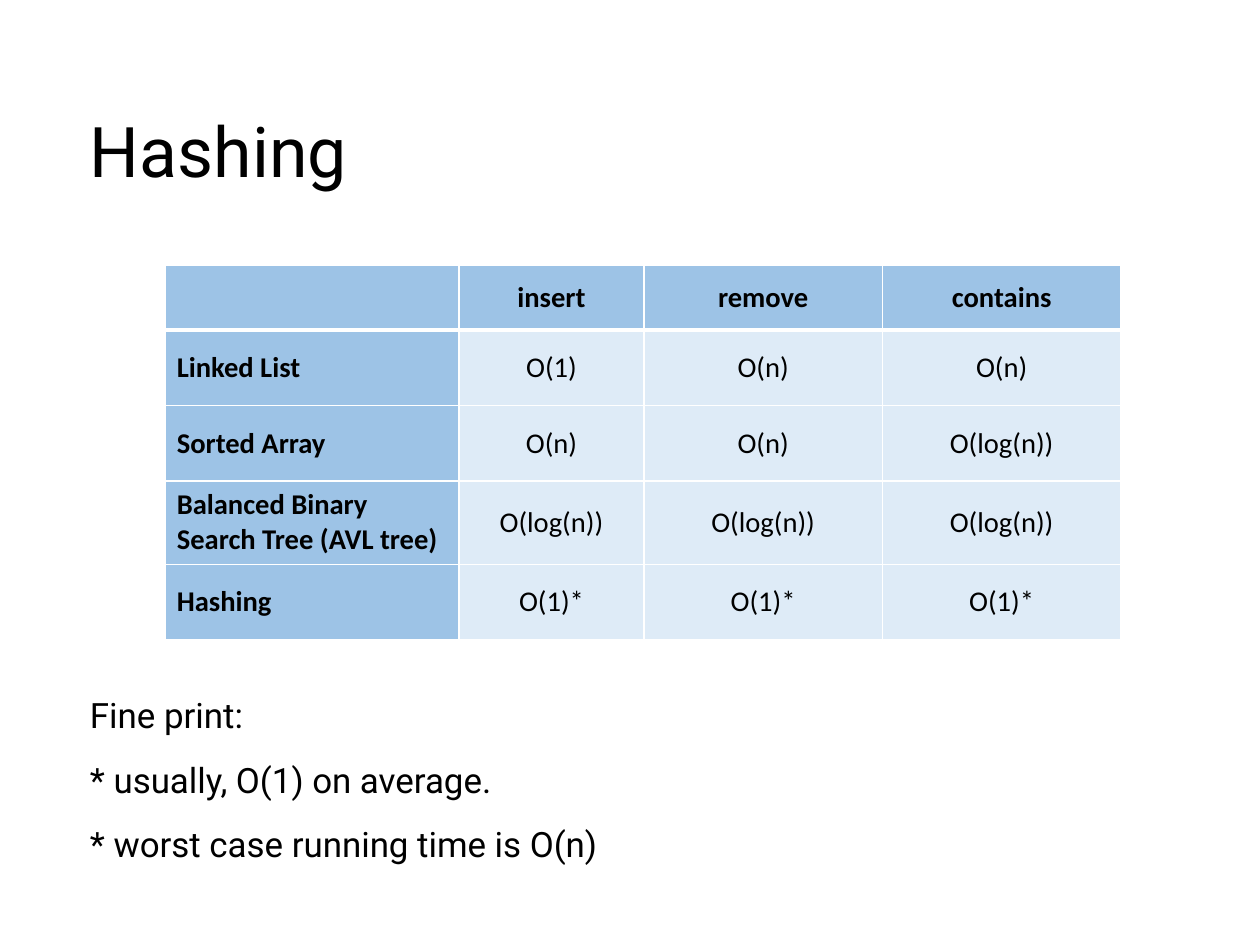
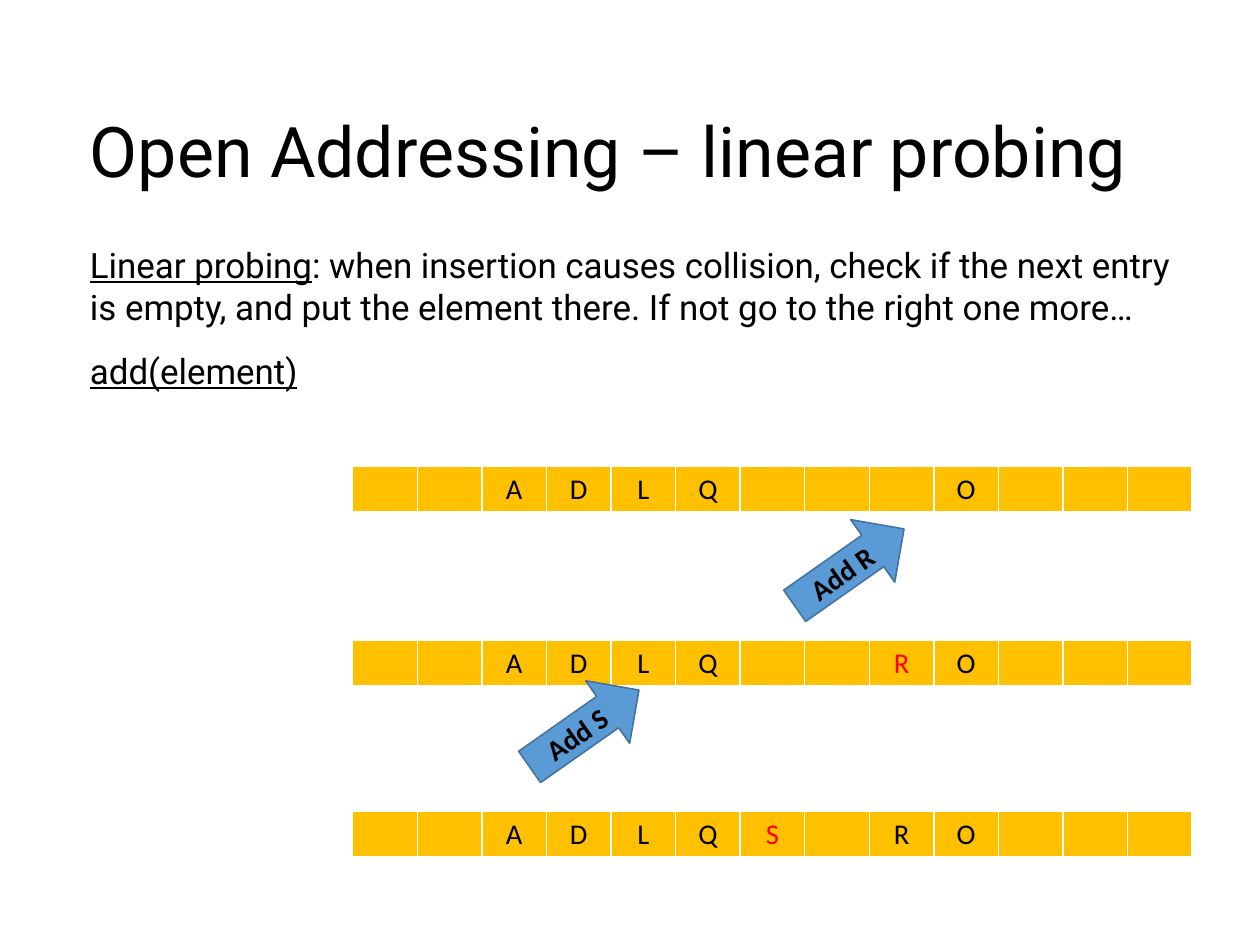
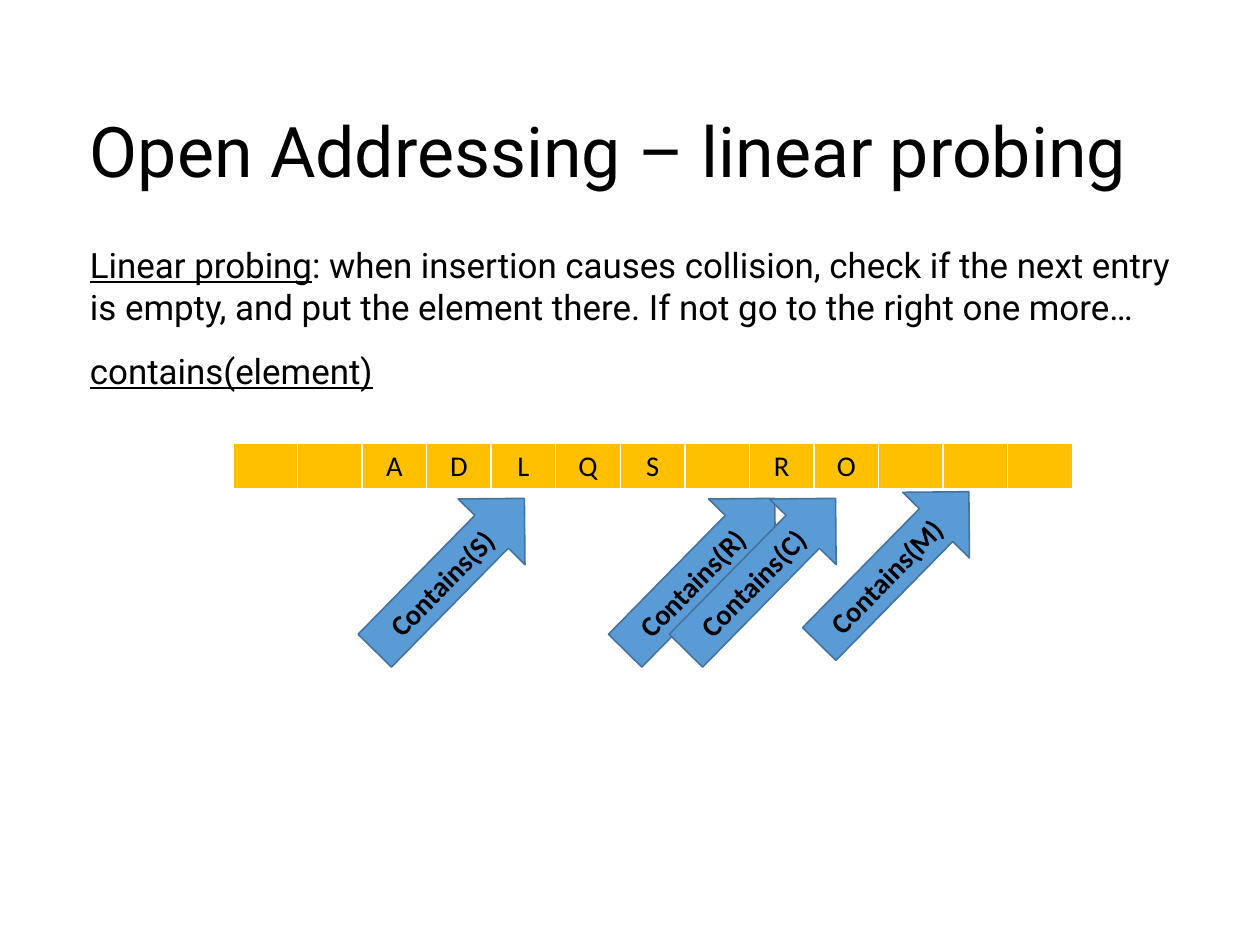
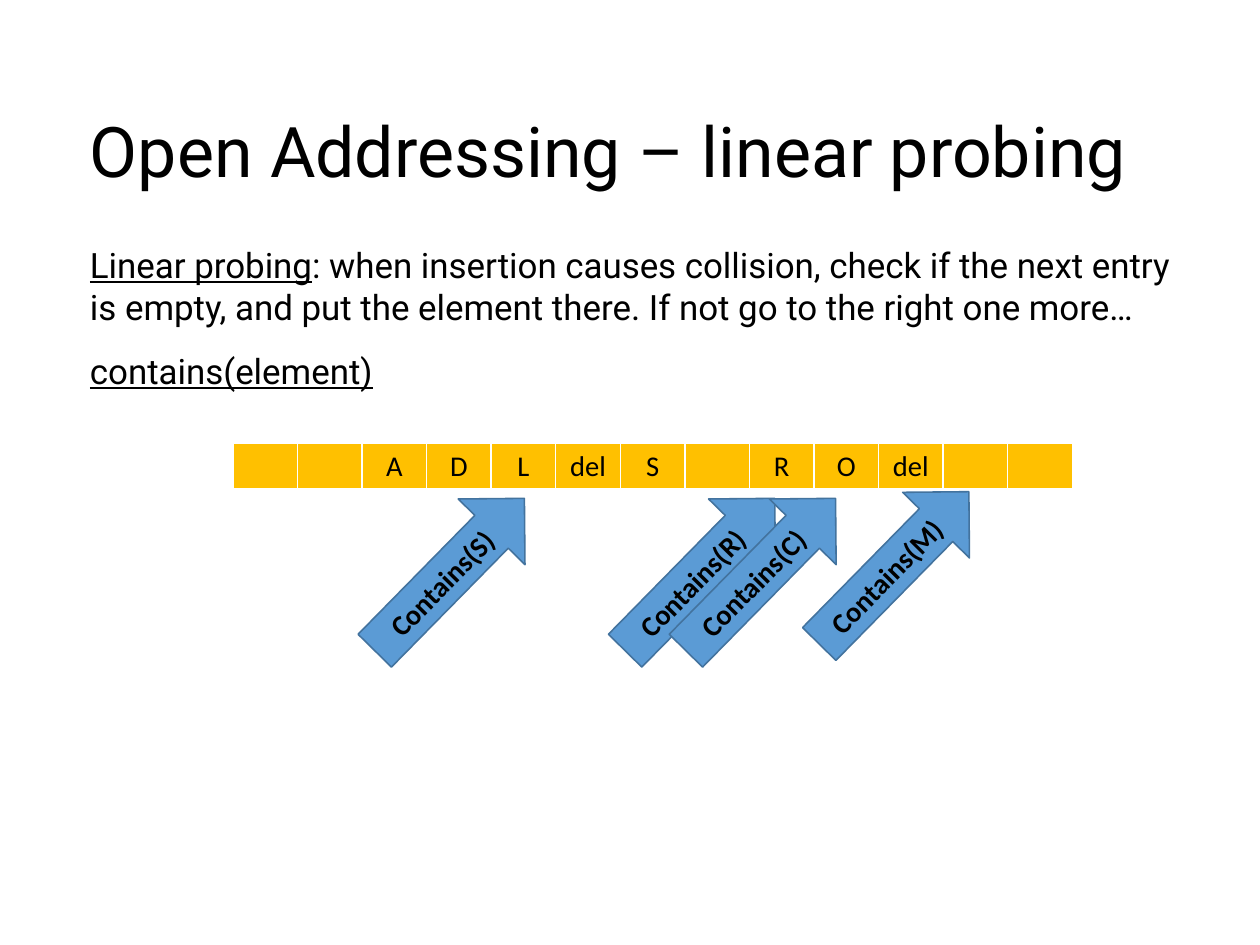
import dataclasses

import lxml.etree
import pptx
import pptx.dml.color
import pptx.enum.shapes
import pptx.enum.text
import pptx.oxml.ns
import pptx.util

Pt = pptx.util.Pt
Align = pptx.enum.text.PP_ALIGN
Anchor = pptx.enum.text.MSO_ANCHOR


@dataclasses.dataclass(frozen=True)
class Theme:
    ink: str = "000000"
    paper: str = "FFFFFF"
    hot: str = "FF0000"
    head: str = "9DC3E6"
    pale: str = "DEEBF7"
    slot: str = "FFC000"
    arrow: str = "5B9BD5"
    edge: str = "43739E"
    prose: str = "Roboto"
    label: str = "Calibri"
    title: float = 44
    body: float = 22
    small: float = 18
    gap: float = 14.2
    thin: float = 1
    thick: float = 3


THEME = Theme()
PAGE = (793.75, 595.25)
TITLE = (56.7, 54, 666, 80.5)
BODY = (56.7, 153.2, 697, 100)
NOTES = (56.7, 437.2, 697, 120)
COSTS = (104.2, 167, 602, 236)
SLOTS = 13
STRIP = (529, 29.5)


def color(code):
    return pptx.dml.color.RGBColor.from_string(code)


def points(box):
    return [Pt(side) for side in box]


def add_run(para, text, font, size, ink=THEME.ink, bold=False, under=False):
    run = para.add_run()
    run.text = text
    run.font.name = font
    run.font.size = Pt(size)
    run.font.bold = bold
    run.font.underline = under
    run.font.color.rgb = color(ink)


def add_text(slide, box, paras, size, gap=0, anchor=Anchor.TOP):
    frame = slide.shapes.add_textbox(*points(box)).text_frame
    frame.word_wrap = True
    frame.vertical_anchor = anchor
    frame.margin_left = frame.margin_right = 0
    frame.margin_top = frame.margin_bottom = 0
    for index, runs in enumerate(paras):
        para = frame.add_paragraph() if index else frame.paragraphs[0]
        para.space_after = Pt(gap)
        for text, under in runs:
            add_run(para, text, THEME.prose, size, under=under)


def add_page(deck, title):
    slide = deck.slides.add_slide(deck.slide_layouts[6])
    slide.background.fill.solid()
    slide.background.fill.fore_color.rgb = color(THEME.paper)
    add_text(slide, TITLE, [[(title, False)]], THEME.title, anchor=Anchor.MIDDLE)
    return slide


def add_grid(slide, box, cols, rows):
    frame = slide.shapes.add_table(len(rows), len(cols), *points(box))
    grid = frame.table
    grid.first_row = grid.horz_banding = False
    for col, width in zip(grid.columns, cols):
        col.width = Pt(width)
    for row, height in zip(grid.rows, rows):
        row.height = Pt(height)
    return grid


def style_cell(cell, fill, top=THEME.thin, bottom=THEME.thin):
    props = cell._tc.get_or_add_tcPr()
    qn = pptx.oxml.ns.qn
    sides = {"L": THEME.thin, "R": THEME.thin, "T": top, "B": bottom}
    for side, width in sides.items():
        line = lxml.etree.SubElement(props, qn("a:ln" + side), w=str(int(Pt(width))))
        solid = lxml.etree.SubElement(line, qn("a:solidFill"))
        lxml.etree.SubElement(solid, qn("a:srgbClr"), val=THEME.paper)
    cell.fill.solid()
    cell.fill.fore_color.rgb = color(fill)


def fill_cell(cell, text, align=Align.CENTER, **look):
    para = cell.text_frame.paragraphs[0]
    para.alignment = align
    if text:
        add_run(para, text, THEME.label, THEME.small, **look)


def add_costs(slide, box, data):
    grid = add_grid(slide, box, [185, 116.5, 150.25, 150.25], [41, 47.5, 47.5, 52.5, 47.5])
    for r, line in enumerate(data):
        for c, text in enumerate(line):
            cell = grid.cell(r, c)
            head = r == 0 or c == 0
            style_cell(
                cell,
                THEME.head if head else THEME.pale,
                top=THEME.thick if r == 1 else THEME.thin,
                bottom=THEME.thick if r == 0 else THEME.thin,
            )
            cell.vertical_anchor = Anchor.MIDDLE
            fill_cell(cell, text, Align.CENTER if c else Align.LEFT, bold=head)


def add_strip(slide, left, top, items, hot=None):
    width, height = STRIP
    grid = add_grid(slide, (left, top, width, height), [width / SLOTS] * SLOTS, [height])
    for index in range(SLOTS):
        cell = grid.cell(0, index)
        style_cell(cell, THEME.slot, bottom=THEME.thick)
        ink = THEME.hot if index == hot else THEME.ink
        fill_cell(cell, items.get(index), ink=ink)


def add_arrow(slide, box, turn, text):
    kind = pptx.enum.shapes.MSO_SHAPE.RIGHT_ARROW
    shape = slide.shapes.add_shape(kind, *points(box))
    shape.rotation = turn
    shape.shadow.inherit = False
    shape.fill.solid()
    shape.fill.fore_color.rgb = color(THEME.arrow)
    shape.line.color.rgb = color(THEME.edge)
    shape.line.width = Pt(THEME.thin)
    frame = shape.text_frame
    frame.vertical_anchor = Anchor.MIDDLE
    para = frame.paragraphs[0]
    para.alignment = Align.CENTER
    add_run(para, text, THEME.label, THEME.small, bold=True)


def cost_page(deck):
    slide = add_page(deck, "Hashing")
    notes = ["Fine print:", "* usually, O(1) on average.", "* worst case running time is O(n)"]
    add_text(slide, NOTES, [[(note, False)] for note in notes], THEME.body, THEME.gap)
    add_costs(slide, COSTS, [
        ["", "insert", "remove", "contains"],
        ["Linked List", "O(1)", "O(n)", "O(n)"],
        ["Sorted Array", "O(n)", "O(n)", "O(log(n))"],
        ["Balanced Binary Search Tree (AVL tree)"] + ["O(log(n))"] * 3,
        ["Hashing"] + ["O(1)*"] * 3,
    ])


def probe_page(deck, method):
    slide = add_page(deck, "Open Addressing – linear probing")
    rule = (
        ": when insertion causes collision, check if the next entry is empty, "
        "and put the element there. If not go to the right one more…"
    )
    paras = [[("Linear probing", True), (rule, False)], [(method, True)]]
    add_text(slide, BODY, paras, THEME.body, THEME.gap)
    return slide


def insert_page(deck, items):
    slide = probe_page(deck, "add(element)")
    left = 222.2
    with_r = {**items, 8: "R"}
    add_strip(slide, left, 403.2, with_r, hot=8)
    add_strip(slide, left, 511, {**with_r, 6: "S"}, hot=6)
    add_arrow(slide, (326, 434.8, 84.2, 48.2), -35.1, "Add S")
    add_strip(slide, left, 293.6, items)
    add_arrow(slide, (493, 333.3, 84.2, 48.2), -35.1, "Add R")


def search_page(deck, items):
    slide = probe_page(deck, "contains(element)")
    add_strip(slide, 146.7, 279.2, items)
    marks = [("R", 373.7, 332.4), ("M", 496, 328.2), ("S", 216, 332.4), ("C", 412, 332.4)]
    for key, x, y in marks:
        add_arrow(slide, (x, y, 134.5, 59), -45.5, f"Contains({key})")


def main():
    deck = pptx.Presentation()
    deck.slide_width, deck.slide_height = points(PAGE)
    start = {2: "A", 3: "D", 4: "L", 5: "Q", 9: "O"}
    full = {**start, 6: "S", 8: "R"}
    cost_page(deck)
    insert_page(deck, start)
    search_page(deck, full)
    search_page(deck, {**full, 5: "del", 10: "del"})
    deck.save("out.pptx")


if __name__ == "__main__":
    main()
